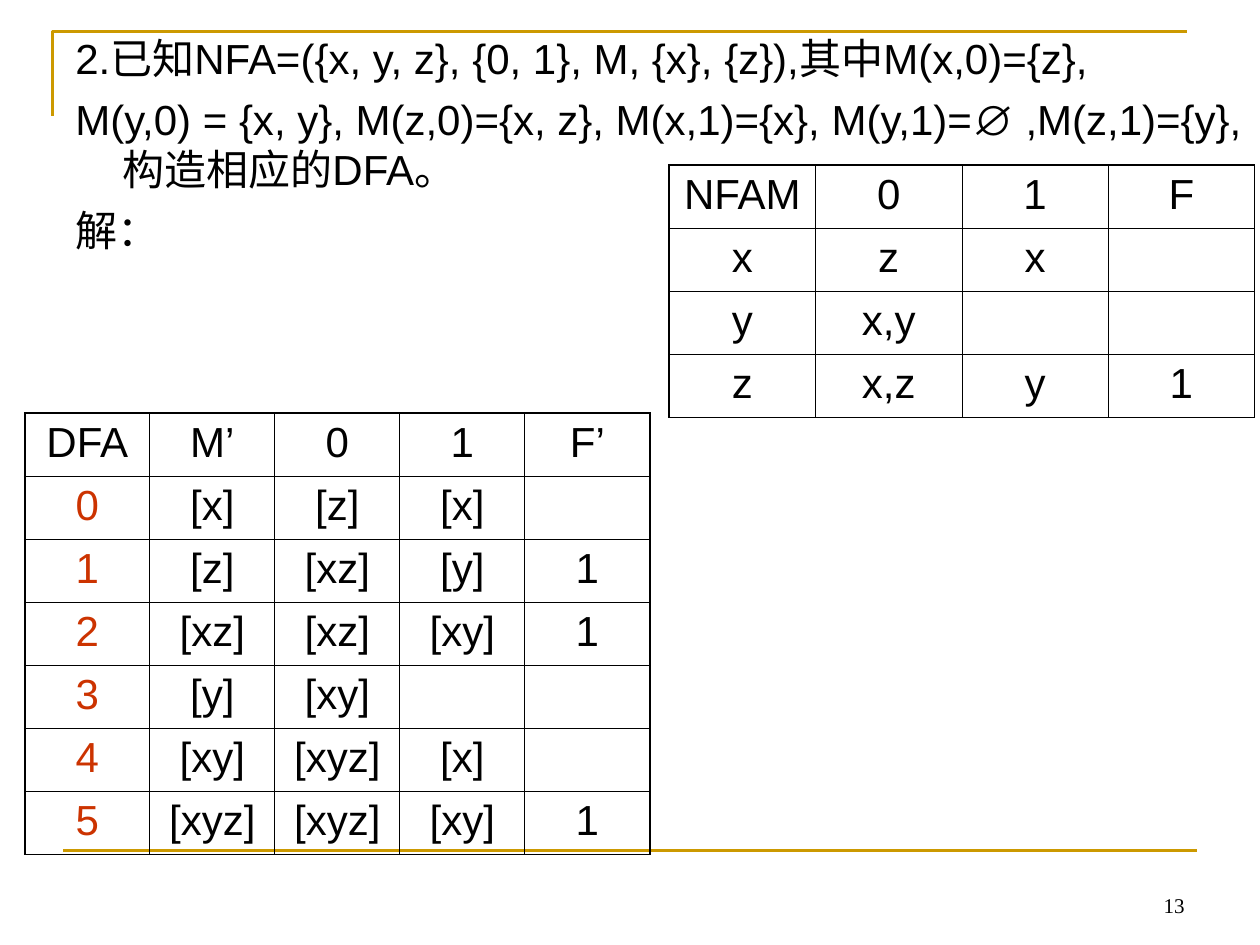
from lxml import etree
from pptx import Presentation
from pptx import util as u
from pptx.dml.color import RGBColor
from pptx.enum import shapes, text
from pptx.oxml import ns

BLACK = RGBColor(0x00, 0x00, 0x00)
GOLD = RGBColor(0xCC, 0x99, 0x00)
RED = RGBColor(0xCC, 0x33, 0x00)
WHITE = RGBColor(0xFF, 0xFF, 0xFF)

NFA_ROWS = [
    ["NFAM", "0", "1", "F"],
    ["x", "z", "x", ""],
    ["y", "x,y", "", ""],
    ["z", "x,z", "y", "1"],
]
DFA_ROWS = [
    ["DFA", "M’", "0", "1", "F’"],
    ["0", "[x]", "[z]", "[x]", ""],
    ["1", "[z]", "[xz]", "[y]", "1"],
    ["2", "[xz]", "[xz]", "[xy]", "1"],
    ["3", "[y]", "[xy]", "", ""],
    ["4", "[xy]", "[xyz]", "[x]", ""],
    ["5", "[xyz]", "[xyz]", "[xy]", "1"],
]
PROBLEM = [
    "2.已知NFA=({x, y, z}, {0, 1}, M, {x}, {z}),其中M(x,0)={z},",
    "M(y,0) = {x, y}, M(z,0)={x, z}, M(x,1)={x}, M(y,1)=∅ ,M(z,1)={y},构造相应的DFA。",
    "解：",
]


class SlideBuilder:
    body = {"name": "Arial", "size": u.Pt(24)}
    number = {"name": "Times New Roman", "size": u.Pt(12)}
    rule_width = u.Pt(1.5)
    inner, outer = u.Pt(0.45), u.Pt(1.08)
    row_height = u.Cm(1.27)

    def __init__(self, slide):
        self.slide = slide
        background = slide.background.fill
        background.solid()
        background.fore_color.rgb = WHITE

    def add_words(self, paragraph, words, font, color=BLACK, **layout):
        for key, value in layout.items():
            setattr(paragraph, key, value)
        run = paragraph.add_run()
        run.text = words
        for key, value in font.items():
            setattr(run.font, key, value)
        run.font.color.rgb = color

    def paint_rule(self, line):
        line.color.rgb = GOLD
        line.width = self.rule_width

    def corner(self, left, top, right, bottom):
        builder = self.slide.shapes.build_freeform(u.Cm(left), u.Cm(bottom))
        builder.add_line_segments(
            [(u.Cm(left), u.Cm(top)), (u.Cm(right), u.Cm(top))], close=False)
        bracket = builder.convert_to_shape()
        bracket.shadow.inherit = False
        bracket.fill.background()
        self.paint_rule(bracket.line)

    def rule(self, left, right, y):
        footer_rule = self.slide.shapes.add_connector(
            shapes.MSO_CONNECTOR.STRAIGHT, u.Cm(left), u.Cm(y), u.Cm(right), u.Cm(y))
        self.paint_rule(footer_rule.line)
        etree.SubElement(footer_rule._element.spPr, ns.qn("a:effectLst"))

    def text_box(self, left, top, width, height, lines, font, hanging=0,
                 anchor=text.MSO_ANCHOR.TOP, **layout):
        frame = self.slide.shapes.add_textbox(
            u.Cm(left), u.Cm(top), u.Cm(width), u.Cm(height)).text_frame
        frame.word_wrap = True
        frame.vertical_anchor = anchor
        for index, words in enumerate(lines):
            paragraph = frame.add_paragraph() if index else frame.paragraphs[0]
            if hanging:
                properties = paragraph._p.get_or_add_pPr()
                properties.set("marL", str(u.Cm(hanging)))
                properties.set("indent", str(-u.Cm(hanging)))
            self.add_words(paragraph, words, font, **layout)

    def borders(self, cell, outer_sides):
        properties = cell._tc.get_or_add_tcPr()
        for position, side in enumerate("LRTB"):
            width = self.outer if side in outer_sides else self.inner
            edge = etree.Element(ns.qn(f"a:ln{side}"), w=str(width))
            fill = etree.SubElement(edge, ns.qn("a:solidFill"))
            etree.SubElement(fill, ns.qn("a:srgbClr"), val=str(BLACK))
            properties.insert(position, edge)

    def table(self, left, top, column_width, rows, state_color=BLACK):
        last_row, last_column = len(rows) - 1, len(rows[0]) - 1
        grid = self.slide.shapes.add_table(
            len(rows), len(rows[0]), u.Cm(left), u.Cm(top),
            u.Cm(column_width) * len(rows[0]), self.row_height * len(rows)).table
        grid.first_row = grid.horz_banding = False
        for column in grid.columns:
            column.width = u.Cm(column_width)
        for r, row in enumerate(rows):
            grid.rows[r].height = self.row_height
            for c, words in enumerate(row):
                cell = grid.cell(r, c)
                cell.fill.background()
                edges = {"L": c == 0, "R": c == last_column,
                         "T": r == 0, "B": r == last_row}
                self.borders(cell, [side for side, on in edges.items() if on])
                if words:
                    color = state_color if r and c == 0 else BLACK
                    self.add_words(cell.text_frame.paragraphs[0], words, self.body, color,
                                   alignment=text.PP_ALIGN.CENTER, space_before=u.Pt(6))


def main():
    deck = Presentation()
    deck.slide_width, deck.slide_height = u.Cm(25.4), u.Cm(19.05)
    builder = SlideBuilder(deck.slides.add_slide(deck.slide_layouts[6]))
    builder.corner(1.06, 0.64, 23.92, 2.33)
    builder.rule(1.27, 24.13, 17.15)
    builder.text_box(18.2, 17.36, 5.93, 1.27, ["13"], builder.number,
                     anchor=text.MSO_ANCHOR.BOTTOM, alignment=text.PP_ALIGN.RIGHT)
    builder.text_box(1.27, 0.53, 24.13, 17.73, PROBLEM, builder.body,
                     hanging=0.95, space_before=u.Pt(6))
    builder.table(13.49, 3.33, 2.95, NFA_ROWS)
    builder.table(0.5, 8.33, 2.52, DFA_ROWS, state_color=RED)
    deck.save("out.pptx")


if __name__ == "__main__":
    main()
